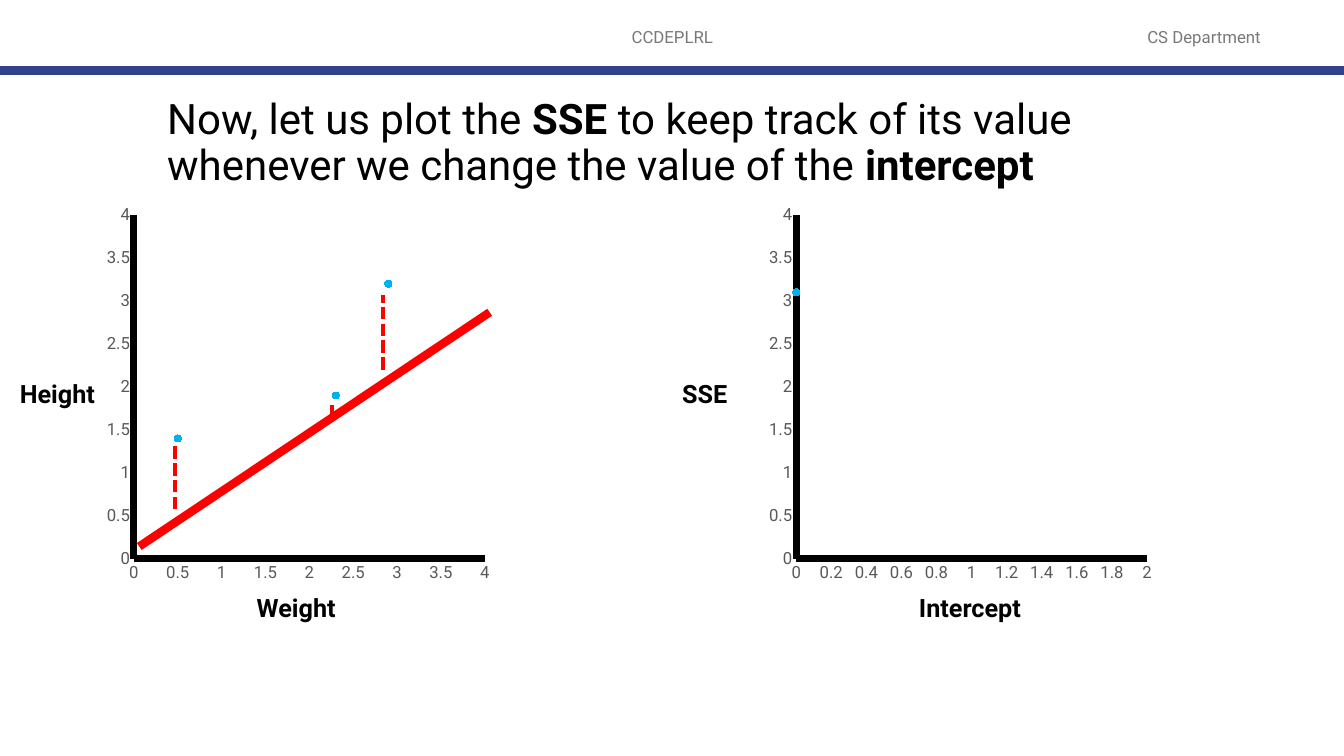
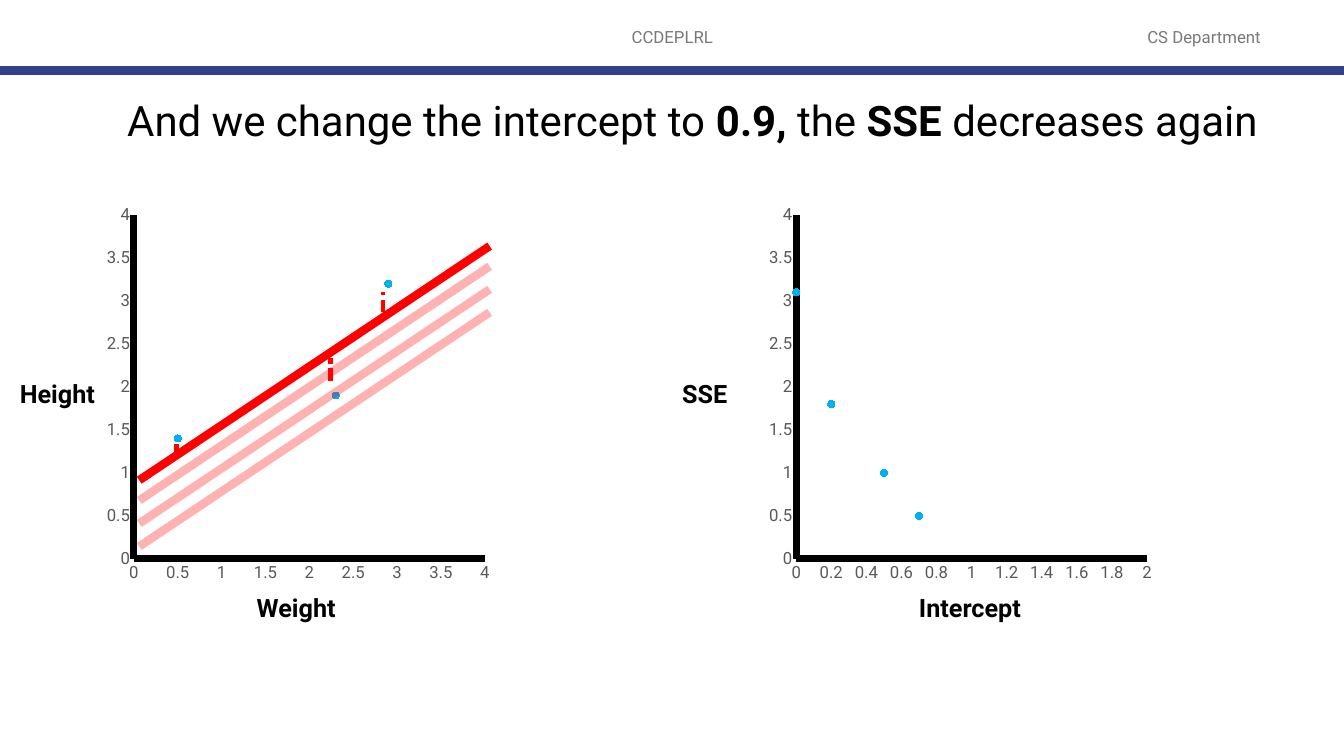
from lxml import etree
from pptx import Presentation
from pptx import util as u
from pptx.chart import data as chart_data
from pptx.dml.color import RGBColor
from pptx.enum import chart as ch
from pptx.enum import dml, shapes, text
from pptx.oxml import parse_xml
from pptx.oxml.ns import nsdecls, qn

Cm, Pt = u.Cm, u.Pt
FONT = "Roboto"
BLACK = RGBColor(0x00, 0x00, 0x00)
GREY = RGBColor(0x79, 0x79, 0x79)
TICK_GREY = RGBColor(0x59, 0x59, 0x59)
NAVY = RGBColor(0x32, 0x41, 0x8C)
RED = RGBColor(0xFF, 0x00, 0x00)
BLUE = RGBColor(0x00, 0xB0, 0xF0)

CHART_STEP = 16.69
FIT_LEFT, FIT_RIGHT, FIT_RISE = 3.51, 12.34, 5.9
HEIGHTS = [(0.5, 1.4), (2.3, 1.9), (2.9, 3.2)]
ERRORS = [(0, 3.1), (0.2, 1.8), (0.5, 1), (0.7, 0.5)]

PAGES = [
    {
        "title": ["Now, let us plot the ", "SSE",
                  " to keep track of its value whenever we change the value of the ",
                  "intercept"],
        "title_box": (3.96, 2.36, 27.66, 2.41),
        "errors": ERRORS[:1],
        "fit_tops": [7.87],
        "residuals": [(4.42, 12.83, 11.15), (9.65, 9.32, 7.44), (8.36, 10.52, 10.19)],
    },
    {
        "title": ["And we change the intercept to ", "0.9, ", "the ", "SSE",
                  " decreases again"],
        "title_box": (2.95, 2.41, 29.54, 1.5),
        "errors": ERRORS,
        "fit_tops": [7.87, 7.29, 6.71, 6.2],
        "residuals": [(4.45, 11.48, 11.2), (9.65, 7.87, 7.37), (8.33, 9.6, 9.02)],
    },
]


def write(box, spans, size, color=BLACK, bold=False, align=text.PP_ALIGN.LEFT,
          anchor=text.MSO_ANCHOR.TOP, spacing=1.0):
    frame = box.text_frame
    frame.word_wrap = True
    frame.auto_size = text.MSO_AUTO_SIZE.NONE
    frame.vertical_anchor = anchor
    para = frame.paragraphs[0]
    para.alignment = align
    para.line_spacing = spacing
    for index, words in enumerate(spans):
        span = para.add_run()
        span.text = words
        span.font.name = FONT
        span.font.size = Pt(size)
        span.font.color.rgb = color
        span.font.bold = bold != (index % 2 == 1)


def draw_line(page, start, end, color=RED, width=6, dash=None, opacity=100):
    line = page.shapes.add_connector(
        shapes.MSO_CONNECTOR.STRAIGHT, *[Cm(value) for value in (*start, *end)])
    line.line.color.rgb = color
    line.line.width = Pt(width)
    if dash:
        line.line.dash_style = dash
    if opacity < 100:
        tint = line.element.find(".//" + qn("a:srgbClr"))
        etree.SubElement(tint, qn("a:alpha")).set("val", str(opacity * 1000))
    etree.SubElement(line.element.spPr, qn("a:effectLst"))
    return line


deck = Presentation()
deck.slide_width, deck.slide_height = Cm(33.87), Cm(19.05)
layout = deck.slide_layouts.get_by_name("Title Only")
for holder in list(layout.placeholders):
    if holder.placeholder_format.type != shapes.PP_PLACEHOLDER.TITLE:
        holder.element.getparent().remove(holder.element)
pages = [deck.slides.add_slide(layout) for _ in PAGES]

header = []
for words, left, width in [("CCDEPLRL", 11.23, 11.43), ("CS Department", 27.74, 5.21)]:
    box = pages[0].shapes.add_textbox(Cm(left), Cm(0.43), Cm(width), Cm(1.02))
    write(box, [words], 12, GREY, align=text.PP_ALIGN.CENTER,
          anchor=text.MSO_ANCHOR.MIDDLE)
    header.append(box)
header.append(draw_line(pages[0], (0, 1.78), (33.87, 1.78), NAVY))
for part in header:
    layout.shapes.element.append(part.element)

for page, content in zip(pages, PAGES):
    title = page.shapes.title
    title.left, title.top, title.width, title.height = [
        Cm(value) for value in content["title_box"]]
    write(title, content["title"], 30, spacing=0.9)

    plots = [("Weight", "Height", HEIGHTS, 4, 0.5),
             ("Intercept", "SSE", content["errors"], 2, 0.2)]
    for column, (x_name, y_name, points, x_max, x_unit) in enumerate(plots):
        shift = column * CHART_STEP
        data = chart_data.XyChartData()
        series_data = data.add_series("Series 1")
        for x, y in points:
            series_data.add_data_point(x, y)
        chart = page.shapes.add_chart(
            ch.XL_CHART_TYPE.XY_SCATTER, Cm(2.69 + shift), Cm(5.13),
            Cm(9.65), Cm(9.63), data).chart
        chart.has_title = False
        chart.has_legend = False
        chart.font.name = FONT
        chart.font.size = Pt(10)
        chart.font.color.rgb = BLACK

        plot = chart.plots[0]
        plot.vary_by_categories = False
        series = plot.series[0]
        series.format.line.fill.background()
        series.marker.style = ch.XL_MARKER_STYLE.CIRCLE
        series.marker.size = 5
        series.marker.format.fill.solid()
        series.marker.format.fill.fore_color.rgb = BLUE
        series.marker.format.line.color.rgb = BLUE

        for axis, top, unit in [(chart.category_axis, x_max, x_unit),
                                (chart.value_axis, 4, 0.5)]:
            axis.minimum_scale, axis.maximum_scale = 0, top
            axis.major_unit = unit
            axis.has_major_gridlines = False
            axis.major_tick_mark = ch.XL_TICK_MARK.NONE
            axis.minor_tick_mark = ch.XL_TICK_MARK.NONE
            axis.format.line.color.rgb = BLACK
            axis.format.line.width = Pt(5)
            labels = axis.tick_labels
            labels.number_format = "General"
            labels.number_format_is_linked = False
            labels.font.name = FONT
            labels.font.size = Pt(12)
            labels.font.color.rgb = TICK_GREY

        plot_area = chart.element.find(".//" + qn("c:plotArea"))
        for old in plot_area.findall(qn("c:layout")):
            plot_area.remove(old)
        plot_area.insert(0, parse_xml(
            f'<c:layout {nsdecls("c")}><c:manualLayout>'
            '<c:layoutTarget val="inner"/><c:xMode val="edge"/><c:yMode val="edge"/>'
            '<c:x val="0.07"/><c:y val="0.03"/><c:w val="0.92"/><c:h val="0.9"/>'
            '</c:manualLayout></c:layout>'))

        for name, left, top, width in [(x_name, 6.22, 14.81, 3.43),
                                       (y_name, 0.25, 9.42, 2.44)]:
            box = page.shapes.add_textbox(Cm(left + shift), Cm(top), Cm(width), Cm(1.02))
            write(box, [name], 18, bold=True)

    for top in content["fit_tops"]:
        newest = top == content["fit_tops"][-1]
        draw_line(page, (FIT_RIGHT, top), (FIT_LEFT, top + FIT_RISE),
                  opacity=100 if newest else 30)
    for x, start, end in content["residuals"]:
        draw_line(page, (x, start), (x, end), width=3, dash=dml.MSO_LINE.SQUARE_DOT)

deck.save("out.pptx")
